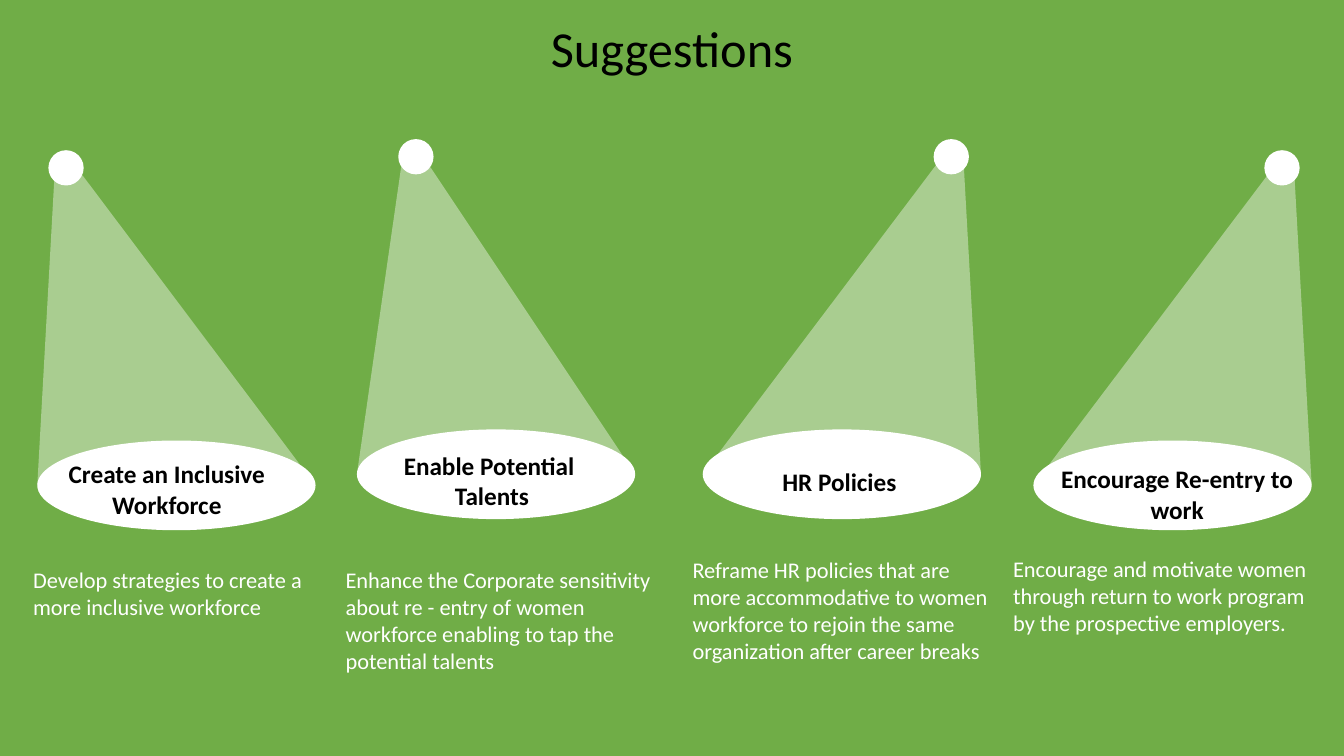
from dataclasses import dataclass

from lxml import etree
from pptx import Presentation, util as u
from pptx.dml.color import RGBColor
from pptx.enum import shapes, text
from pptx.oxml.ns import qn

GREEN = RGBColor(0x70, 0xAD, 0x47)
WHITE = RGBColor(0xFF, 0xFF, 0xFF)
BLACK = RGBColor(0x00, 0x00, 0x00)
FONT = "Calibri"

POOL_W, POOL_H = 2.76, 0.89
LAMP_SIZE = 0.35
LAMP_RISE = 2.88  # from the top of the pool up to the top of the lamp
BEAM_ALPHA = 40000

Point = tuple[float, float]


@dataclass
class Label:
    left: float
    top: float
    width: float
    height: float
    lines: list[str]


@dataclass
class Spotlight:
    pool_left: float
    pool_top: float
    lamp_left: float
    beam_from: tuple[Point, Point]  # left and right beam corners, from the lamp's corner
    heading: Label
    body: Label


RIGHT_LAMP = ((0.03, 0.25), (0.3, 0.27))

SPOTLIGHTS = [
    Spotlight(0.37, 4.37, 0.48, ((0.06, 0.27), (0.34, 0.25)),
              Label(0.33, 4.5, 2.65, 0.71, ["Create an Inclusive Workforce"]),
              Label(0.23, 5.57, 3.36, 0.64,
                    ["Develop strategies to create a more inclusive workforce"])),
    Spotlight(3.54, 4.26, 3.95, ((0.03, 0.27), (0.32, 0.28)),
              Label(3.5, 4.42, 2.76, 0.71, ["Enable Potential ", "Talents"]),
              Label(3.33, 5.57, 3.46, 1.18,
                    ["Enhance the Corporate sensitivity about re - entry of women "
                     "workforce enabling to tap the potential talents"])),
    Spotlight(6.97, 4.26, 9.26, RIGHT_LAMP,
              Label(7, 4.58, 2.65, 0.4, ["HR Policies"]),
              Label(6.77, 5.47, 3.18, 1.45,
                    ["Reframe HR policies that are more accommodative to women workforce "
                     "to rejoin the same organization after career breaks"])),
    Spotlight(10.25, 4.37, 12.54, RIGHT_LAMP,
              Label(10.35, 4.55, 2.65, 0.71, ["Encourage Re-entry to work"]),
              Label(9.95, 5.46, 3.18, 0.91,
                    ["Encourage and motivate women through return to work program "
                     "by the prospective employers."])),
]
TITLE = Label(5.33, 0.12, 2.67, 0.71, ["Suggestions"])


def paint_white(sp) -> None:
    sp.shadow.inherit = False
    sp.fill.solid()
    sp.fill.fore_color.rgb = WHITE
    sp.line.fill.background()


def add_ellipse(s, left: float, top: float, width: float, height: float) -> None:
    sp = s.shapes.add_shape(shapes.MSO_SHAPE.OVAL, u.Inches(left), u.Inches(top),
                            u.Inches(width), u.Inches(height))
    paint_white(sp)


def add_beam(s, corners: list[Point]) -> None:
    start, *rest = [(u.Inches(x), u.Inches(y)) for x, y in corners]
    builder = s.shapes.build_freeform(*start)
    builder.add_line_segments(rest, close=True)
    sp = builder.convert_to_shape()
    paint_white(sp)
    color = sp.fill._xPr.find(qn("a:solidFill")).find(qn("a:srgbClr"))
    etree.SubElement(color, qn("a:alpha")).set("val", str(BEAM_ALPHA))


def add_label(s, label: Label, size: int, color: RGBColor,
              align: text.PP_ALIGN, bold: bool = False) -> None:
    sp = s.shapes.add_textbox(u.Inches(label.left), u.Inches(label.top),
                              u.Inches(label.width), u.Inches(label.height))
    tf = sp.text_frame
    tf.word_wrap = True
    tf.auto_size = text.MSO_AUTO_SIZE.SHAPE_TO_FIT_TEXT
    for i, line in enumerate(label.lines):
        p = tf.add_paragraph() if i else tf.paragraphs[0]
        p.alignment = align
        r = p.add_run()
        r.text = line
        r.font.name = FONT
        r.font.size = u.Pt(size)
        r.font.bold = bold
        r.font.color.rgb = color


def add_spotlight(s, spot: Spotlight) -> None:
    lamp_top = spot.pool_top - LAMP_RISE
    pool_middle = spot.pool_top + POOL_H / 2
    add_ellipse(s, spot.pool_left, spot.pool_top, POOL_W, POOL_H)
    add_ellipse(s, spot.lamp_left, lamp_top, LAMP_SIZE, LAMP_SIZE)
    upper = [(spot.lamp_left + dx, lamp_top + dy) for dx, dy in spot.beam_from]
    add_beam(s, [(spot.pool_left, pool_middle), *upper,
                 (spot.pool_left + POOL_W, pool_middle)])
    add_label(s, spot.heading, 18, BLACK, text.PP_ALIGN.CENTER, bold=True)
    add_label(s, spot.body, 16, WHITE, text.PP_ALIGN.LEFT)


def main() -> None:
    prs = Presentation()
    prs.slide_width, prs.slide_height = u.Inches(13.33), u.Inches(7.5)
    s = prs.slides.add_slide(prs.slide_layouts[6])

    # Background
    s.background.fill.solid()
    s.background.fill.fore_color.rgb = GREEN

    # Spotlights with their headings and descriptions
    for spot in SPOTLIGHTS:
        add_spotlight(s, spot)

    # Title
    add_label(s, TITLE, 36, BLACK, text.PP_ALIGN.CENTER)

    prs.save("out.pptx")


if __name__ == "__main__":
    main()
